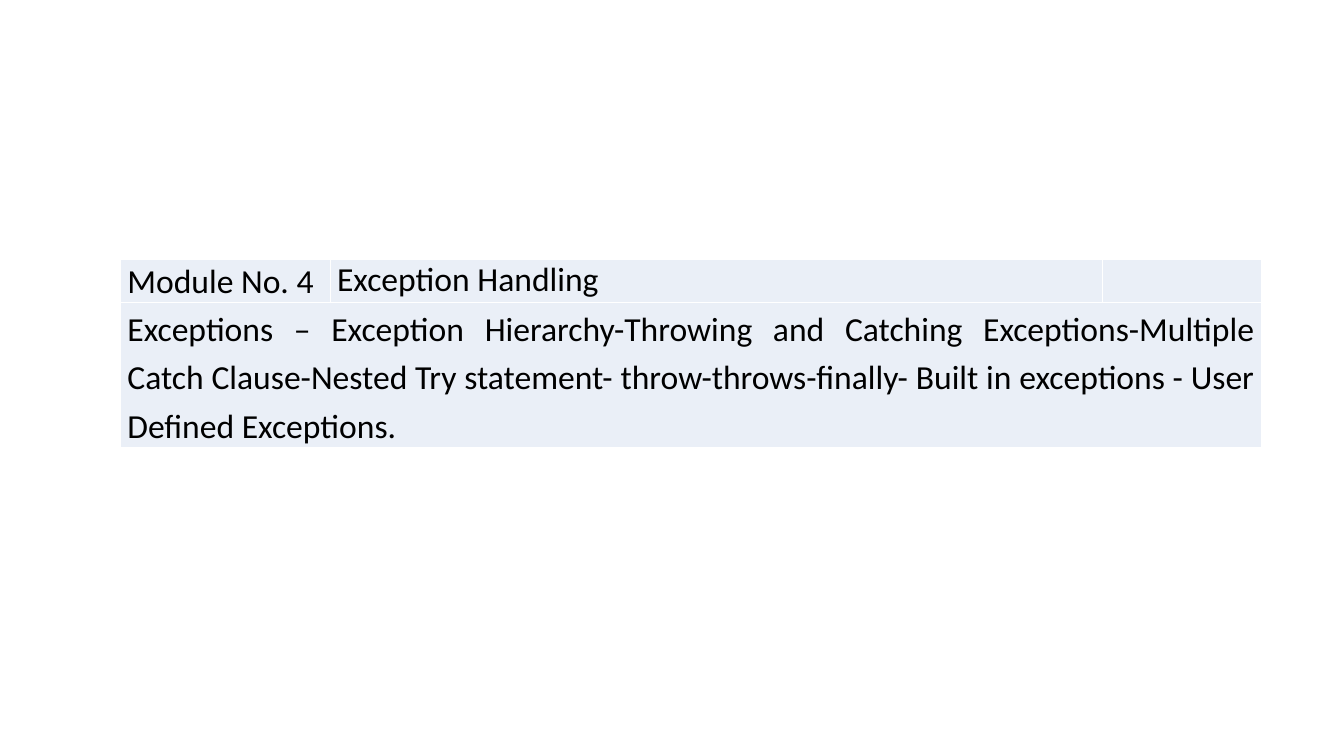
"""Builds a slide with a module heading and its syllabus in one table."""
from lxml import etree
from pptx import Presentation
from pptx.dml.color import RGBColor
from pptx.enum.text import PP_ALIGN
from pptx.oxml.ns import qn
from pptx.util import Pt

LEFT, JUST = PP_ALIGN.LEFT, PP_ALIGN.JUSTIFY
THEME = {"font": "Calibri", "size": 24, "ink": "000000", "fill": "EAEFF7", "line": "FFFFFF"}
WIDTHS = [149.8, 551.5, 113.8]
HEIGHTS = [29.5, 102.5]
TEXTS = [
    (0, 0, "Module No. 4", LEFT, 1.04, 0),
    (0, 1, "Exception Handling", LEFT, 0.97, 2.3),
    (1, 0, "Exceptions – Exception Hierarchy-Throwing and Catching Exceptions-Multiple "
           "Catch Clause-Nested Try statement- throw-throws-finally- Built in exceptions - "
           "User Defined Exceptions.", JUST, 1.18, 2.2),
]


def border(cell):
    """Draws a thin line on all four sides of a cell."""
    props = cell._tc.get_or_add_tcPr()
    for side in ("a:lnL", "a:lnR", "a:lnT", "a:lnB"):
        line = etree.SubElement(props, qn(side), w=str(Pt(1)))
        fill = etree.SubElement(line, qn("a:solidFill"))
        etree.SubElement(fill, qn("a:srgbClr"), val=THEME["line"])


deck = Presentation()
deck.slide_width, deck.slide_height = Pt(960), Pt(540)
slide = deck.slides.add_slide(deck.slide_layouts[6])

frame = slide.shapes.add_table(2, 3, Pt(86), Pt(185.4), Pt(sum(WIDTHS)), Pt(sum(HEIGHTS)))
table = frame.table
table.first_row = table.horz_banding = False
for col, width in zip(table.columns, WIDTHS):
    col.width = Pt(width)
for row, height in zip(table.rows, HEIGHTS):
    row.height = Pt(height)

for cell in table.iter_cells():
    border(cell)
    cell.fill.solid()
    cell.fill.fore_color.rgb = RGBColor.from_string(THEME["fill"])
    cell.margin_left = cell.margin_right = Pt(5)
    cell.margin_top = cell.margin_bottom = 0
table.cell(1, 0).merge(table.cell(1, 2))

for row, col, text, align, space, before in TEXTS:
    para = table.cell(row, col).text_frame.paragraphs[0]
    para.text = text
    para.alignment = align
    para.line_spacing = space
    para.space_before = Pt(before)
    font = para.runs[0].font
    font.name, font.size = THEME["font"], Pt(THEME["size"])
    font.color.rgb = RGBColor.from_string(THEME["ink"])

deck.save("out.pptx")
